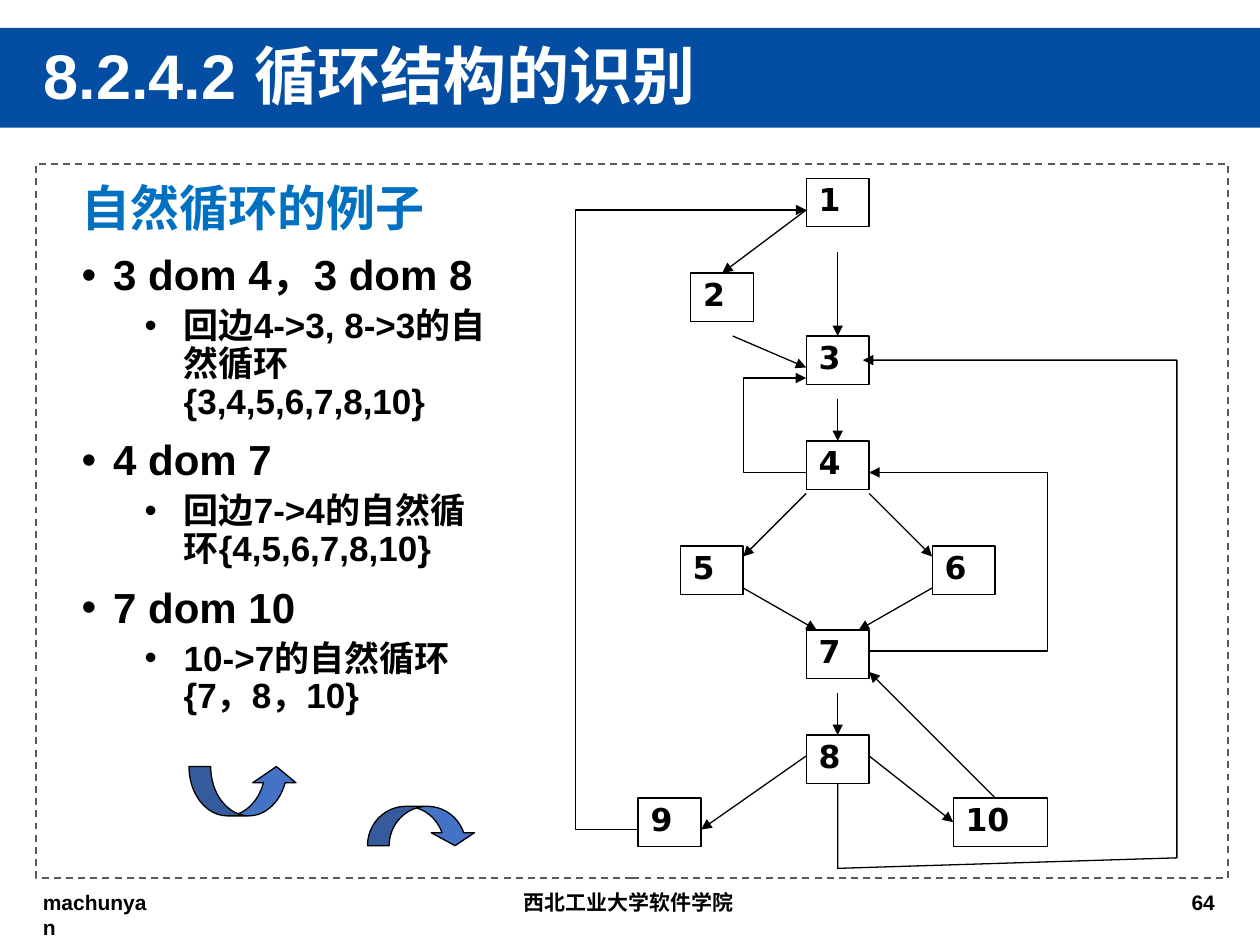
from lxml.etree import SubElement
from pptx import Presentation
from pptx.dml.color import RGBColor
from pptx.enum.dml import MSO_LINE
from pptx.enum.shapes import MSO_CONNECTOR, MSO_SHAPE
from pptx.enum.text import MSO_ANCHOR, PP_ALIGN
from pptx.oxml.ns import qn
from pptx.util import Inches, Pt

CELL = Inches(1) // 12  # the page is a grid of 120 columns by 90 rows
GRAPH_LEFT = 54.78  # column where the flow graph starts
BLACK = "000000"
color = RGBColor.from_string


def write(para, text, size, ink=BLACK, font="Arial"):
    span = para.add_run()
    span.text = text
    span.font.size = Pt(size)
    span.font.bold = True
    span.font.name = font
    span.font.color.rgb = color(ink)


def finish_arrow(arrow):
    """Give a flow line its thin black stroke, arrowhead and no shadow."""
    arrow.line.width = Pt(0.75)
    arrow.line.color.rgb = color(BLACK)
    SubElement(arrow.line._get_or_add_ln(), qn("a:tailEnd"), type="triangle")
    SubElement(arrow._element.spPr, qn("a:effectLst"))


deck = Presentation()
deck.slide_width, deck.slide_height = 120 * CELL, 90 * CELL
page = deck.slides.add_slide(deck.slide_layouts[6])
shapes = page.shapes

# Footer
for text, left, width, wrap in [
    ("machunyan", 2.9, 13, True),
    ("西北工业大学软件学院", 48.7, 22.6, False),
    ("64", 112.3, 4.9, False),
]:
    box = shapes.add_textbox(*(int(n * CELL) for n in (left, 84.1, width, 3.6)))
    box.text_frame.word_wrap = wrap
    write(box.text_frame.paragraphs[0], text, 12)

# Banner and dashed frame
banner = shapes.add_shape(MSO_SHAPE.RECTANGLE, 0, int(2.65 * CELL), 120 * CELL, int(9.5 * CELL))
banner.shadow.inherit = False
banner.fill.solid()
banner.fill.fore_color.rgb = color("034EA2")
banner.line.fill.background()

frame = shapes.add_shape(MSO_SHAPE.RECTANGLE, *(int(n * CELL) for n in (3.45, 15.6, 113.5, 68)))
frame.shadow.inherit = False
frame.fill.background()
frame.line.color.rgb = color("595959")
frame.line.width = Pt(1)
frame.line.dash_style = MSO_LINE.DASH

# Title
title = shapes.add_textbox(*(int(n * CELL) for n in (3, 3.6, 85.9, 7.8))).text_frame
title.word_wrap = True
title.vertical_anchor = MSO_ANCHOR.MIDDLE
title.paragraphs[0].line_spacing = 0.9
write(title.paragraphs[0], "8.2.4.2 循环结构的识别", 36, "FFFFFF")

# Heading and bullets
body = shapes.add_textbox(*(int(n * CELL) for n in (6.6, 16.95, 41.65, 53.9))).text_frame
body.word_wrap = True
body.paragraphs[0].line_spacing = 0.9
write(body.paragraphs[0], "自然循环的例子", 28, "0070C0")

for level, text in [
    (0, "3 dom 4，3 dom 8"),
    (1, "回边4->3, 8->3的自然循环{3,4,5,6,7,8,10}"),
    (0, "4 dom 7"),
    (1, "回边7->4的自然循环{4,5,6,7,8,10}"),
    (0, "7 dom 10"),
    (1, "10->7的自然循环{7，8，10}"),
]:
    size, before, margin, hanging = [(24, 10, 0.25, 0.25), (20, 5, 0.81, 0.31)][level]
    para = body.add_paragraph()
    para.level = level
    para.line_spacing = 0.9
    para.space_before = Pt(before)
    properties = para._p.get_or_add_pPr()
    properties.set("marL", str(Inches(margin)))
    properties.set("indent", str(-Inches(hanging)))
    SubElement(properties, qn("a:buFont"), typeface="Arial")
    SubElement(properties, qn("a:buChar"), char="•")
    write(para, text, size)

# Flow graph nodes: column and row of the top left corner
nodes = {}
for number, (column, row) in enumerate(
    [(22, 17), (11, 26), (22, 32), (22, 42), (10, 52),
     (34, 52), (22, 60), (22, 70), (6, 76), (36, 76)], start=1
):
    width = 9 if number == 10 else 6
    node = shapes.add_shape(
        MSO_SHAPE.RECTANGLE,
        *(int(n * CELL) for n in (GRAPH_LEFT + column, row, width, 4.6)),
    )
    node.shadow.inherit = False
    node.fill.background()
    node.line.color.rgb = color(BLACK)
    node.line.width = Pt(0.75)
    node.text_frame.vertical_anchor = MSO_ANCHOR.TOP
    para = node.text_frame.paragraphs[0]
    para.alignment = PP_ALIGN.LEFT
    para.line_spacing = 0.9
    write(para, str(number), 18, font="DejaVu Sans")
    nodes[number] = node

# Straight edges: start, end, and the node and side joined at the end
for x1, y1, x2, y2, joined in [
    (25, 24, 25, 32, (3, 0)),
    (22, 20, 14, 26, (2, 0)),
    (15, 32, 22, 35, None),
    (25, 38, 25, 42, (4, 0)),
    (22, 47, 16, 53, None),
    (28, 47, 34, 53, None),
    (16, 56, 23, 60, None),
    (34, 56, 27, 60, None),
    (25, 66, 25, 70, (8, 0)),
    (22, 72, 12, 79, None),
    (28, 72, 36, 78, (10, 1)),
    (40, 76, 28, 64, None),
]:
    edge = shapes.add_connector(
        MSO_CONNECTOR.STRAIGHT,
        *(int(n * CELL) for n in (GRAPH_LEFT + x1, y1, GRAPH_LEFT + x2, y2)),
    )
    if joined:
        number, side = joined
        edge.end_connect(nodes[number], side)
    finish_arrow(edge)

# Bent edges that run back up the graph
for corners in [
    [(22, 45), (16, 45), (16, 36), (22, 36)],
    [(25, 74.6), (25, 82.7), (57.3, 81.7), (57.3, 34.3), (27.4, 34.3)],
    [(6, 79), (0, 79), (0, 20), (22, 20)],
    [(28, 62), (45, 62), (45, 45), (28, 45)],
]:
    points = [(int((GRAPH_LEFT + x) * CELL), int(y * CELL)) for x, y in corners]
    builder = shapes.build_freeform(*points[0])
    builder.add_line_segments(points[1:], close=False)
    back_edge = builder.convert_to_shape()
    back_edge.fill.background()
    finish_arrow(back_edge)

# Curved arrows
for left, top, height, adjustments, flipped in [
    (18, 73, 4.7, (0.44, 0.88, 0.33), False),
    (35, 76.8, 3.75, (0.55, 1.1, 0.33), True),
]:
    curve = shapes.add_shape(
        MSO_SHAPE.CURVED_UP_ARROW, *(int(n * CELL) for n in (left, top, 10.4, height))
    )
    for index, value in enumerate(adjustments):
        curve.adjustments[index] = value
    if flipped:
        curve._element.spPr.xfrm.set("flipV", "1")
    curve.shadow.inherit = False
    curve.fill.solid()
    curve.fill.fore_color.rgb = color("4472C4")
    curve.line.color.rgb = color(BLACK)
    curve.line.width = Pt(0.75)

deck.save("out.pptx")
